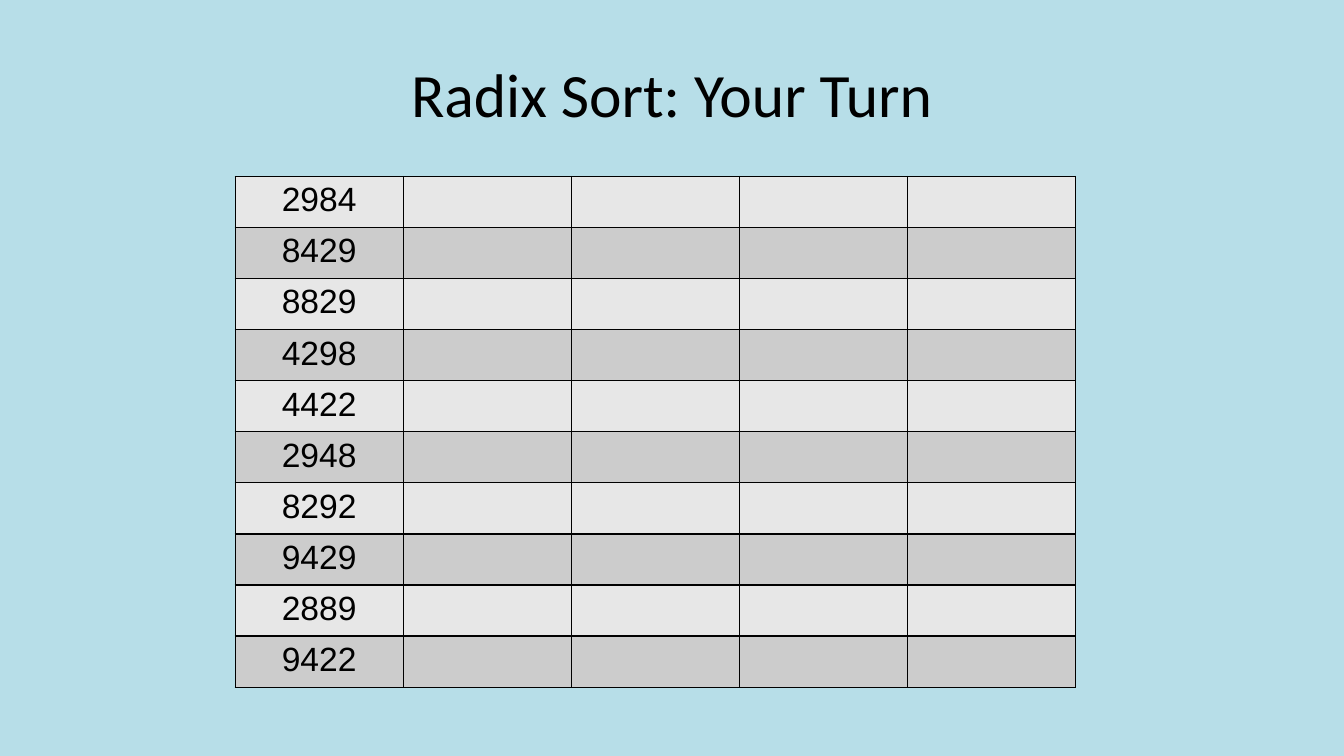
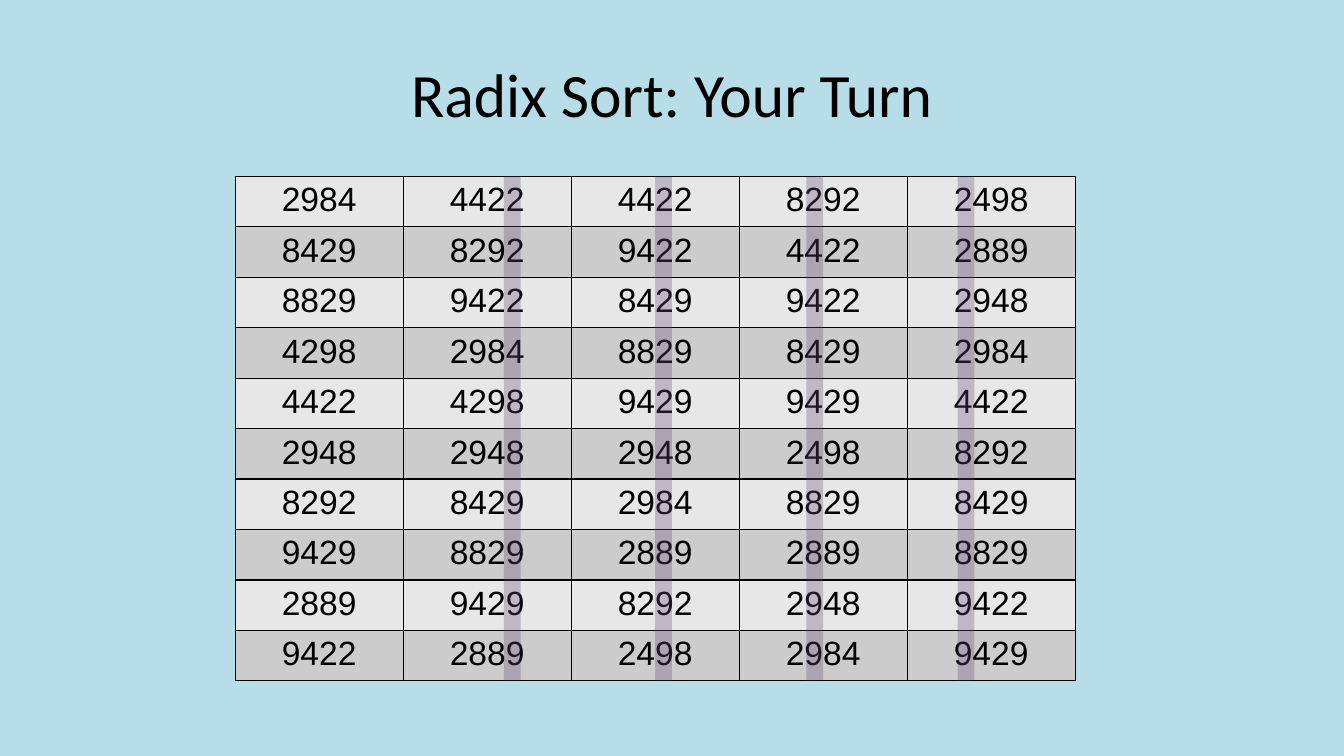
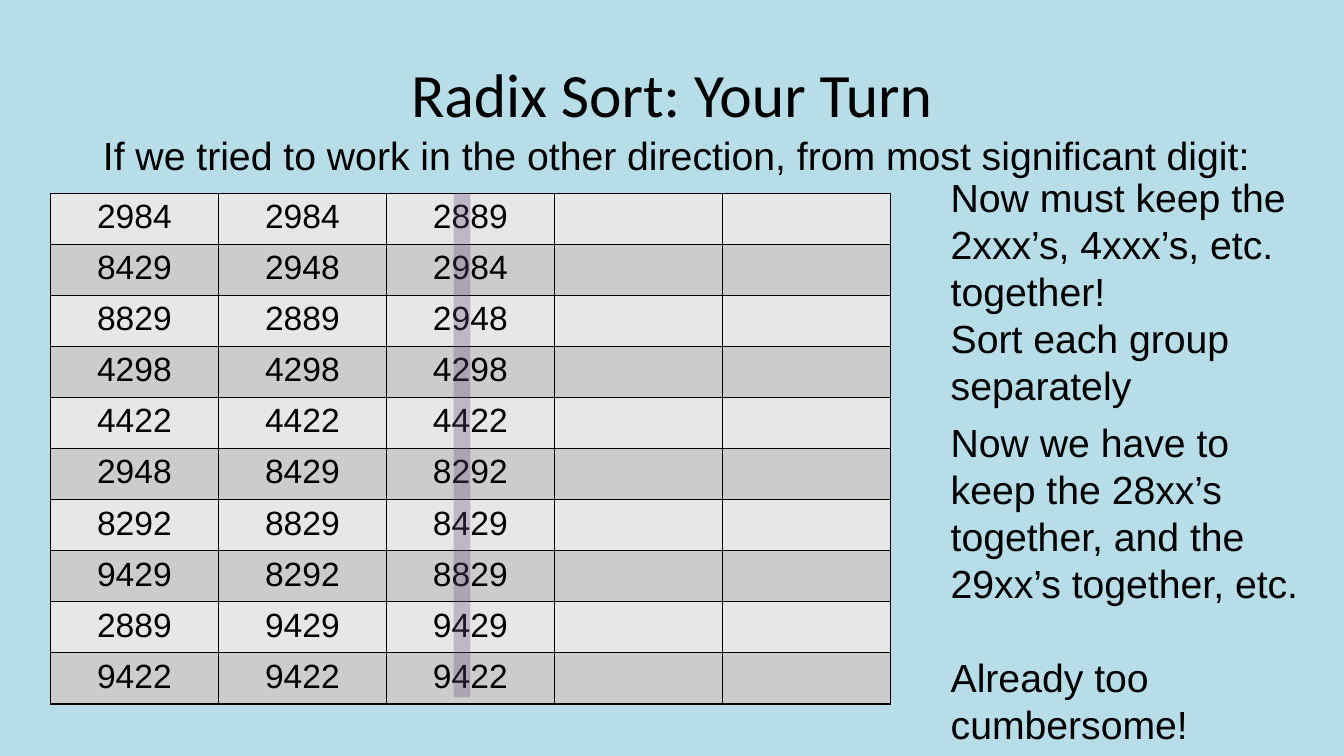
from dataclasses import dataclass

from lxml import etree
from pptx import Presentation
from pptx.dml import color
from pptx.enum import shapes, text
from pptx.oxml import ns
from pptx.util import Pt


@dataclass(frozen=True)
class Theme:
    background: str = "B7DEE8"
    ink: str = "000000"
    row_fills: tuple = ("E7E7E7", "CCCCCC")
    marker: str = "604A7B"
    marker_alpha: int = 30
    title_font: str = "Calibri"
    body_font: str = "Arial"
    title_size: float = 44
    note_size: float = 28
    cell_size: float = 24
    border: float = 1


def rgb(value):
    return color.RGBColor.from_string(value)


class SlideBuilder:
    def __init__(self, deck, theme):
        self.deck = deck
        self.theme = theme
        self.page = None

    def add_page(self, title):
        self.page = self.deck.slides.add_slide(self.deck.slide_layouts[6])
        background = self.page.background.fill
        background.solid()
        background.fore_color.rgb = rgb(self.theme.background)
        frame = self.add_box(48, 21.6, 864, 90)
        frame.vertical_anchor = text.MSO_ANCHOR.MIDDLE
        self.add_words(frame.paragraphs[0], title, self.theme.title_size,
                       self.theme.title_font, text.PP_ALIGN.CENTER)

    def add_box(self, left, top, width, height):
        box = self.page.shapes.add_textbox(Pt(left), Pt(top), Pt(width), Pt(height))
        box.text_frame.word_wrap = True
        return box.text_frame

    def add_words(self, para, words, size, font, align):
        para.alignment = align
        span = para.add_run()
        span.text = words
        span.font.size = Pt(size)
        span.font.name = font
        span.font.color.rgb = rgb(self.theme.ink)

    def add_note(self, left, top, width, height, lines,
                 align=text.PP_ALIGN.LEFT, gap=0):
        frame = self.add_box(left, top, width, height)
        frame.auto_size = text.MSO_AUTO_SIZE.SHAPE_TO_FIT_TEXT
        for index, line in enumerate(lines):
            para = frame.add_paragraph() if index else frame.paragraphs[0]
            if index:
                para.space_before = Pt(gap)
            self.add_words(para, line, self.theme.note_size, self.theme.body_font, align)

    def add_number_table(self, left, top, row_height, columns):
        column_count, row_count, column_width = 5, 10, 120
        table = self.page.shapes.add_table(
            row_count, column_count, Pt(left), Pt(top),
            Pt(column_count * column_width), Pt(row_count * row_height)).table
        numbers = [column.split() for column in columns]
        for row_index, row in enumerate(table.rows):
            row.height = Pt(row_height)
            fill = self.theme.row_fills[row_index % 2]
            for column_index, cell in enumerate(row.cells):
                if column_index < len(numbers):
                    self.add_words(cell.text_frame.paragraphs[0],
                                   numbers[column_index][row_index],
                                   self.theme.cell_size, self.theme.body_font,
                                   text.PP_ALIGN.CENTER)
                self.add_borders(cell)
                cell.fill.solid()
                cell.fill.fore_color.rgb = rgb(fill)

    def add_borders(self, cell):
        properties = cell._tc.get_or_add_tcPr()
        for side in ("a:lnL", "a:lnR", "a:lnT", "a:lnB"):
            line = etree.SubElement(properties, ns.qn(side), w=str(Pt(self.theme.border)))
            fill = etree.SubElement(line, ns.qn("a:solidFill"))
            etree.SubElement(fill, ns.qn("a:srgbClr"), val=self.theme.ink)

    def add_digit_marker(self, left, top):
        marker = self.page.shapes.add_shape(
            shapes.MSO_SHAPE.RECTANGLE, Pt(left), Pt(top), Pt(12), Pt(360))
        marker.shadow.inherit = False
        marker.line.fill.background()
        marker.fill.solid()
        marker.fill.fore_color.rgb = rgb(self.theme.marker)
        shade = marker._element.spPr.find(".//" + ns.qn("a:srgbClr"))
        etree.SubElement(shade, ns.qn("a:alpha"), val=str(self.theme.marker_alpha * 1000))


TITLE = "Radix Sort: Your Turn"
UNSORTED = "2984 8429 8829 4298 4422 2948 8292 9429 2889 9422"
LEAST_DIGIT_FIRST = [
    "4422 8292 9422 2984 4298 2948 8429 8829 9429 2889",
    "4422 9422 8429 8829 9429 2948 2984 2889 8292 2498",
    "8292 4422 9422 8429 9429 2498 8829 2889 2948 2984",
    "2498 2889 2948 2984 4422 8292 8429 8829 9422 9429",
]
MOST_DIGIT_FIRST = [
    "2984 2948 2889 4298 4422 8429 8829 8292 9429 9422",
    "2889 2984 2948 4298 4422 8292 8429 8829 9429 9422",
]
EMPTY_ROW, FULL_ROW = 36.5, 34.2

deck = Presentation()
deck.slide_width, deck.slide_height = Pt(960), Pt(540)
builder = SlideBuilder(deck, Theme())

builder.add_page(TITLE)
builder.add_number_table(168, 126, EMPTY_ROW, [UNSORTED])

builder.add_page(TITLE)
builder.add_number_table(168, 126, FULL_ROW, [UNSORTED, *LEAST_DIGIT_FIRST])
for step in range(len(LEAST_DIGIT_FIRST)):
    builder.add_digit_marker(360 + 108 * step, 126)

builder.add_page(TITLE)
builder.add_number_table(36, 138, EMPTY_ROW, [UNSORTED, *MOST_DIGIT_FIRST])
builder.add_digit_marker(324, 138)
builder.add_note(
    18, 90, 930, 41,
    ["If we tried to work in the other direction, from most significant digit:"],
    align=text.PP_ALIGN.CENTER)
builder.add_note(
    672, 120, 280, 177,
    ["Now must keep the 2xxx’s, 4xxx’s, etc. together!", "Sort each group separately"])
builder.add_note(
    672, 295, 280, 245,
    ["Now we have to keep the 28xx’s together, and the 29xx’s together, etc.",
     "Already too cumbersome!"],
    gap=33.6)

deck.save("out.pptx")
